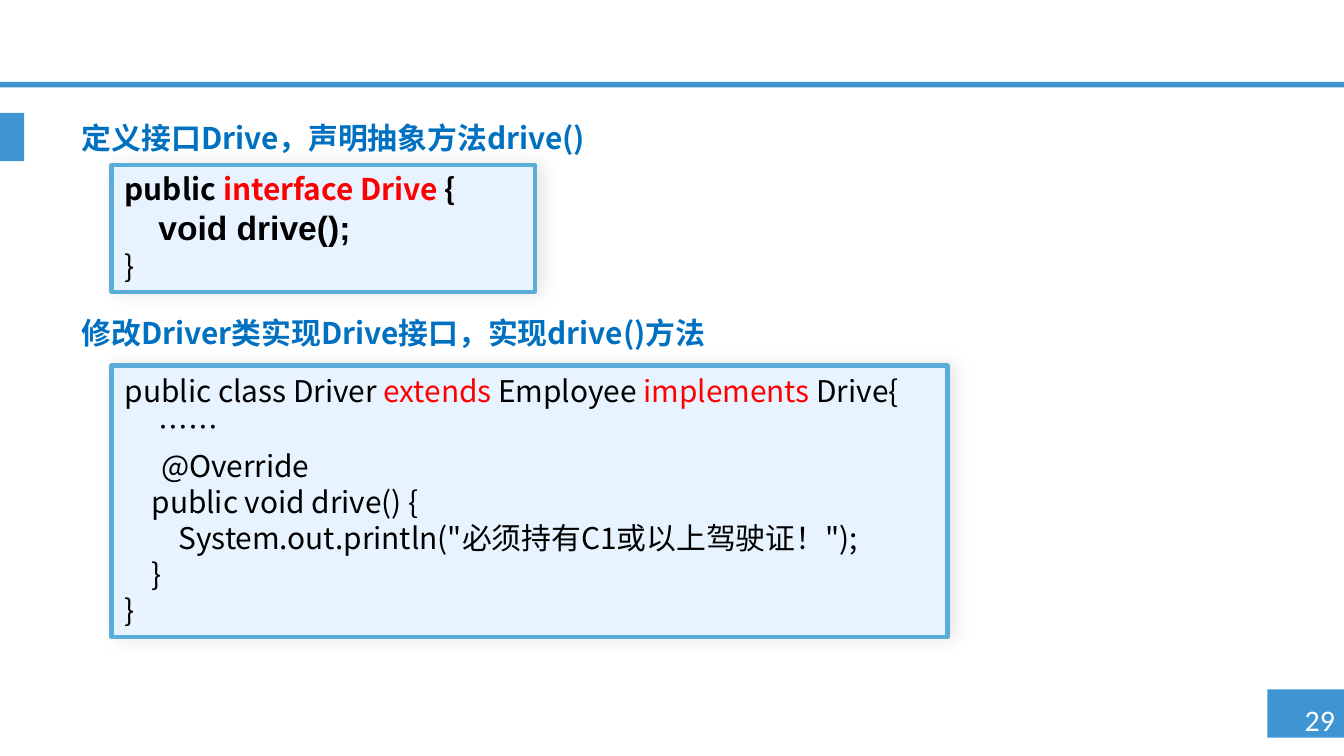
from dataclasses import dataclass

from lxml.etree import SubElement
from pptx import Presentation
from pptx.dml.color import RGBColor
from pptx.enum.shapes import MSO_SHAPE as Preset
from pptx.enum.text import MSO_ANCHOR as Anchor, PP_ALIGN as Align
from pptx.oxml.ns import qn
from pptx.shapes.autoshape import Shape
from pptx.slide import Slide
from pptx.text.text import TextFrame, _Paragraph as Paragraph
from pptx.util import Inches, Pt

WIDTH = Inches(10)
HEIGHT = WIDTH * 9 // 16
ACCENT = RGBColor(0x3F, 0x95, 0xD2)
HEADING = RGBColor(0x00, 0x70, 0xC0)
PANEL = RGBColor(0xE7, 0xF4, 0xFF)
BORDER = RGBColor(0x5A, 0xAD, 0xD6)
BLACK = RGBColor(0, 0, 0)
RED = RGBColor(0xFF, 0, 0)
WHITE = RGBColor(0xFF, 0xFF, 0xFF)
BODY_FONT = "Noto Sans CJK SC"
INDENT = 0.2


@dataclass(frozen=True)
class Box:
    left: float
    top: float
    width: float
    height: float

    def place(self) -> tuple[int, int, int, int]:
        return (Inches(self.left), Inches(self.top), Inches(self.width), Inches(self.height))


@dataclass(frozen=True)
class Piece:
    text: str
    color: RGBColor = BLACK
    bold: bool = False
    font: str = BODY_FONT
    size: int = 16


@dataclass(frozen=True)
class Line:
    pieces: tuple[Piece, ...]
    level: float = 0
    space_before: float = 0


@dataclass(frozen=True)
class CodePanel:
    box: Box
    lines: tuple[Line, ...]


BARS = (Box(9.43, 5.13, 0.57, 0.36), Box(0, 0.61, 10, 0.04), Box(0, 0.84, 0.18, 0.36))
TITLE_BOX = Box(0.51, 0.84, 8.19, 0.39)
SUBHEAD_BOX = Box(0.51, 2.32, 8.19, 0.39)
NUMBER_BOX = Box(9.64, 5.17, 0.36, 0.37)

PANELS = (
    CodePanel(Box(0.83, 1.23, 3.15, 0.94), (
        Line((Piece("public ", bold=True), Piece("interface Drive", RED, True), Piece(" {", bold=True))),
        Line((Piece("void drive();", bold=True, font="Arial", size=18),), 1.25),
        Line((Piece("}"),)),
    )),
    CodePanel(Box(0.83, 2.72, 6.22, 2.02), (
        Line((Piece("public class Driver "), Piece("extends", RED), Piece(" Employee "),
              Piece("implements", RED), Piece(" Drive{"))),
        Line((Piece("……"),), 1.25),
        Line((Piece("@Override"),), 1.35, 2),
        Line((Piece("public void drive() {"),), 1),
        Line((Piece('System.out.println("必须持有C1或以上驾驶证！");'),), 2),
        Line((Piece("}"),), 1),
        Line((Piece("}"),)),
    )),
)


def add_piece(paragraph: Paragraph, piece: Piece) -> None:
    run = paragraph.add_run()
    run.text = piece.text
    font = run.font
    font.name, font.size, font.bold = piece.font, Pt(piece.size), piece.bold
    font.color.rgb = piece.color
    SubElement(font._element, qn("a:ea"), typeface=piece.font)


def add_bar(slide: Slide, box: Box) -> None:
    bar = slide.shapes.add_shape(Preset.RECTANGLE, *box.place())
    bar.shadow.inherit = False
    bar.fill.solid()
    bar.fill.fore_color.rgb = ACCENT
    bar.line.fill.background()


def write_heading(frame: TextFrame, text: str, margin_top: float) -> None:
    frame.word_wrap = True
    frame.vertical_anchor = Anchor.TOP
    frame.margin_top = Inches(margin_top)
    paragraph = frame.paragraphs[0]
    paragraph.alignment = Align.LEFT
    paragraph.line_spacing = 0.9
    paragraph.space_before = Pt(10)
    add_piece(paragraph, Piece(text, HEADING, True))


def add_soft_shadow(shape: Shape) -> None:
    shape.shadow.inherit = False
    effects = shape._element.spPr.find(qn("a:effectLst"))
    shadow = SubElement(effects, qn("a:outerShdw"), blurRad=str(Pt(10)), dist=str(Pt(3)), dir="0")
    color = SubElement(shadow, qn("a:srgbClr"), val=str(BLACK))
    SubElement(color, qn("a:alpha"), val="10000")


def add_code_panel(slide: Slide, panel: CodePanel) -> None:
    shape = slide.shapes.add_shape(Preset.ROUNDED_RECTANGLE, *panel.box.place())
    shape.adjustments[0] = 0
    shape.fill.solid()
    shape.fill.fore_color.rgb = PANEL
    shape.line.color.rgb = BORDER
    shape.line.width = Pt(2.25)
    add_soft_shadow(shape)
    frame = shape.text_frame
    frame.word_wrap = True
    frame.vertical_anchor = Anchor.MIDDLE
    frame.margin_bottom = Inches(0.07)
    for index, line in enumerate(panel.lines):
        paragraph = frame.add_paragraph() if index else frame.paragraphs[0]
        paragraph.alignment = Align.LEFT
        paragraph.space_before = Pt(line.space_before)
        properties = paragraph._p.get_or_add_pPr()
        properties.set("marL", str(Inches(INDENT * line.level)))
        properties.set("indent", "0")
        for piece in line.pieces:
            add_piece(paragraph, piece)


def add_page_number(slide: Slide) -> None:
    frame = slide.shapes.add_textbox(*NUMBER_BOX.place()).text_frame
    frame.margin_left = frame.margin_right = 0
    frame.word_wrap = False
    frame.paragraphs[0].alignment = Align.CENTER
    add_piece(frame.paragraphs[0], Piece("29", WHITE, font="Calibri"))


def main() -> None:
    presentation = Presentation()
    presentation.slide_width, presentation.slide_height = WIDTH, HEIGHT
    slide = presentation.slides.add_slide(presentation.slide_layouts[5])
    for bar in BARS:
        add_bar(slide, bar)
    add_page_number(slide)
    title = slide.shapes.title
    title.left, title.top, title.width, title.height = TITLE_BOX.place()
    write_heading(title.text_frame, "定义接口Drive，声明抽象方法drive()", 0.08)
    for panel in PANELS:
        add_code_panel(slide, panel)
    subhead = slide.shapes.add_textbox(*SUBHEAD_BOX.place())
    write_heading(subhead.text_frame, "修改Driver类实现Drive接口，实现drive()方法", 0.05)
    presentation.save("out.pptx")


if __name__ == "__main__":
    main()
